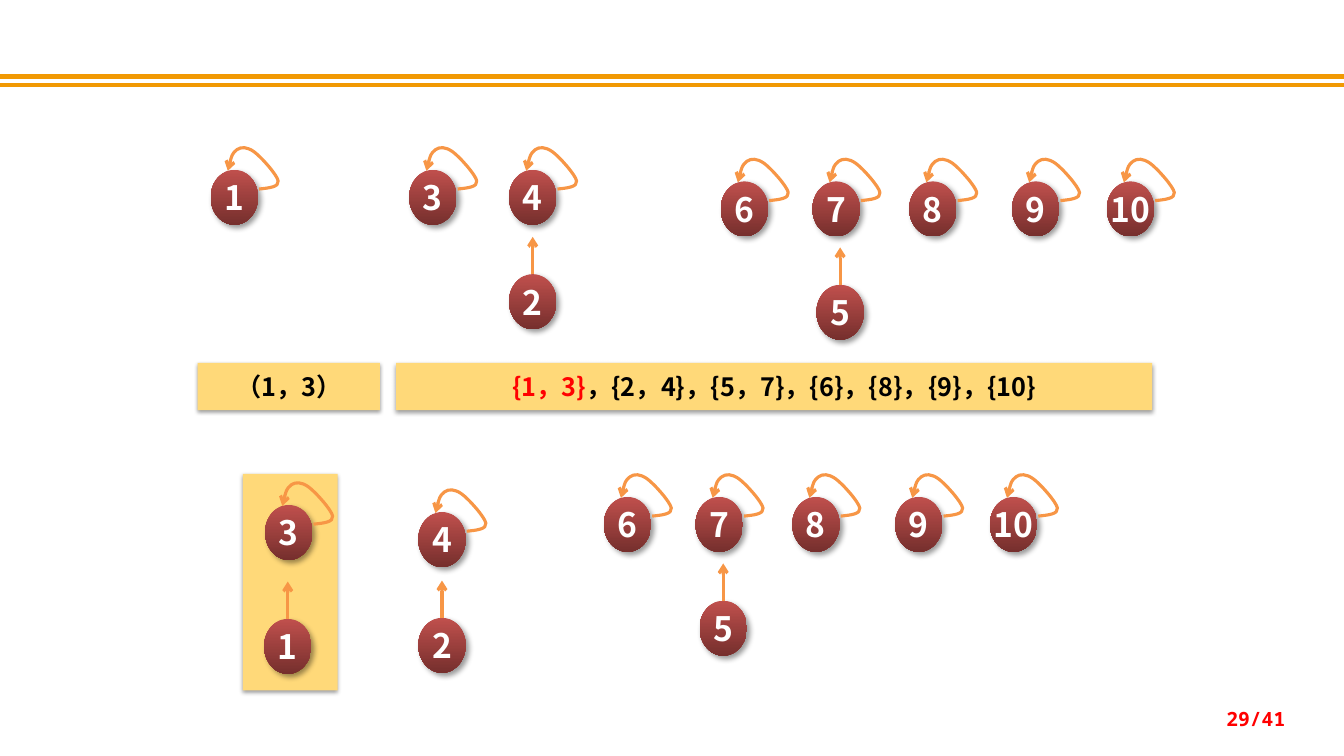
from typing import NamedTuple

from lxml.etree import SubElement
from pptx import Presentation
from pptx.dml.color import RGBColor
from pptx.enum.shapes import MSO_CONNECTOR, MSO_SHAPE
from pptx.enum.text import MSO_ANCHOR, PP_ALIGN
from pptx.oxml.ns import qn
from pptx.util import Inches, Pt

COLORS = {
    "rule": "F19903",
    "panel": "FFD979",
    "node_top": "C0504D",
    "node_bottom": "762F2D",
    "arrow": "F79646",
    "light": "FFFFFF",
    "dark": "000000",
    "accent": "FF0000",
}
SANS = "Noto Sans CJK SC"
MONO = "Noto Sans Mono"
CELL = Inches(0.1)
COLUMNS, ROWS = 133.33, 75
NODE_WIDTH, NODE_HEIGHT = 4.7, 5.45
ARROW_LENGTH = 3.7
SINGLES = [("6", 0), ("7", 9.1), ("8", 18.7), ("9", 28.9), ("10", 38.3)]
LOOP_POINTS = [
    (4.8, 1.9),
    (5.8, 1.8), (6.8, 1.7), (6.7, 1.1),
    (6.6, 0.5), (5, -1.3), (4.3, -1.8),
    (3.6, -2.3), (3, -2.3), (2.6, -2),
    (2.1, -1.6), (1.9, -0.8), (1.7, 0.1),
]


class Box(NamedTuple):
    left: float
    top: float
    width: float
    height: float

    def at(self, column, row, width=NODE_WIDTH, height=NODE_HEIGHT):
        return Box(self.left + column, self.top + row, width, height)

    def lengths(self):
        return [grid(value) for value in self]


def grid(cells):
    return round(cells * CELL)


def color(name):
    return RGBColor.from_string(COLORS[name])


def add_effects(shape):
    return SubElement(shape._element.spPr, qn("a:effectLst"))


def add_shadow(shape, alpha, blur, distance, angle):
    shadow = SubElement(
        add_effects(shape), qn("a:outerShdw"),
        blurRad=str(Pt(blur)), dist=str(Pt(distance)),
        dir=str(angle * 60000), algn="ctr", rotWithShape="0")
    tint = SubElement(shadow, qn("a:srgbClr"), val=COLORS["dark"])
    SubElement(tint, qn("a:alpha"), val=str(alpha * 1000))


def add_text(shape, runs, size, face, align=PP_ALIGN.CENTER, wrap=True):
    frame = shape.text_frame
    frame.word_wrap = wrap
    frame.vertical_anchor = MSO_ANCHOR.MIDDLE
    para = frame.paragraphs[0]
    para.alignment = align
    for text, tone in runs:
        span = para.add_run()
        span.text = text
        span.font.size = Pt(size)
        span.font.bold = True
        span.font.color.rgb = color(tone)
        span.font.name = face
        SubElement(span._r.get_or_add_rPr(), qn("a:ea"), typeface=face)


def style_line(line, tone, width, arrow=False):
    line.color.rgb = color(tone)
    line.width = Pt(width)
    if arrow:
        SubElement(line._get_or_add_ln(), qn("a:tailEnd"), type="arrow")


def add_panel(page, box, runs=()):
    panel = page.shapes.add_shape(MSO_SHAPE.RECTANGLE, *box.lengths())
    panel.fill.solid()
    panel.fill.fore_color.rgb = color("panel")
    panel.line.fill.background()
    add_shadow(panel, 38, 3.1, 1.6, 90)
    if runs:
        add_text(panel, runs, 18, SANS)


def add_node(page, box, label):
    node = page.shapes.add_shape(MSO_SHAPE.OVAL, *box.lengths())
    node.fill.gradient()
    node.fill.gradient_angle = 270
    for stop, tone, position in zip(
            node.fill.gradient_stops, ("node_top", "node_bottom"), (0, 1)):
        stop.color.rgb = color(tone)
        stop.position = position
    node.line.fill.background()
    add_shadow(node, 40, 4, 3, 45)
    add_text(node, [(label, "light")], 24, SANS, wrap=False)
    return node


def add_root(page, box, label):
    add_node(page, box, label)
    points = [(grid(box.left + x), grid(box.top + y)) for x, y in LOOP_POINTS]
    builder = page.shapes.build_freeform(*points[0])
    builder.add_line_segments(points[1:], close=False)
    loop = builder.convert_to_shape()
    loop.fill.background()
    style_line(loop.line, "arrow", 2.25, arrow=True)
    add_effects(loop)
    outline = loop._element.xpath(".//a:pathLst/*")[0]
    steps = outline.findall(qn("a:lnTo"))
    for first in range(0, len(steps), 3):
        curve = SubElement(outline, qn("a:cubicBezTo"))
        for step in steps[first:first + 3]:
            curve.append(step[0])
            outline.remove(step)


def add_straight(page, start, end, tone, width, arrow=False):
    line = page.shapes.add_connector(
        MSO_CONNECTOR.STRAIGHT, *map(grid, (*start, *end)))
    style_line(line.line, tone, width, arrow)
    add_effects(line)
    return line


def add_child(page, box, label):
    node = add_node(page, box, label)
    middle = box.left + box.width / 2
    arrow = add_straight(page, (middle, box.top),
                         (middle, box.top - ARROW_LENGTH), "arrow", 2.25, True)
    arrow.begin_connect(node, 0)


def add_pair(page, box, root, child, shift=0):
    add_child(page, box.at(shift, box.height - NODE_HEIGHT), child)
    add_root(page, box.at(0, 0), root)


def add_right_trees(page, box):
    add_child(page, box.at(9.5, box.height - NODE_HEIGHT), "5")
    for label, column in SINGLES:
        add_root(page, box.at(column, 0), label)


def add_upper_forest(page, box):
    add_root(page, box.at(0, 0), "1")
    add_root(page, box.at(19.7, 0), "3")
    add_pair(page, box.at(29.6, 0, height=15.8), "4", "2")
    add_right_trees(page, box.at(50.6, 1.15, 43, 15.7))


def add_lower_forest(page, box):
    add_right_trees(page, box.at(35.8, 2.3, 43, 15.75))
    add_pair(page, box.at(17.4, 3.8, height=15.95), "4", "2")
    add_panel(page, box.at(0, 0, 9.4, box.height))
    add_pair(page, box.at(2.2, 3.1, height=16.75), "3", "1", -0.1)


def add_sets(page, box):
    add_panel(page, box.at(0, 0, 18.1, box.height), [("（1，3）", "dark")])
    add_panel(page, box.at(19.7, 0, 75, box.height), [
        ("{1，3}", "accent"),
        ("，{2，4}，{5，7}，{6}，{8}，{9}，{10}", "dark"),
    ])


def add_frame(page, box):
    for row in (7.6, 8.4):
        add_straight(page, (box.left, row), (box.left + box.width, row),
                     "rule", 3)
    number = page.shapes.add_textbox(*box.at(97.4, 69.3, 31.1, 4).lengths())
    add_text(number, [("29/41", "accent")], 14, MONO, PP_ALIGN.RIGHT)


def main():
    deck = Presentation()
    deck.slide_width = grid(COLUMNS)
    deck.slide_height = grid(ROWS)
    page = deck.slides.add_slide(deck.slide_layouts[6])
    add_frame(page, Box(0, 0, COLUMNS, ROWS))
    add_sets(page, Box(19.6, 36, 94.7, 4.7))
    add_upper_forest(page, Box(20.9, 16.85, 93.6, 16.85))
    add_lower_forest(page, Box(24.1, 47, 78.8, 21.5))
    deck.save("out.pptx")


if __name__ == "__main__":
    main()
